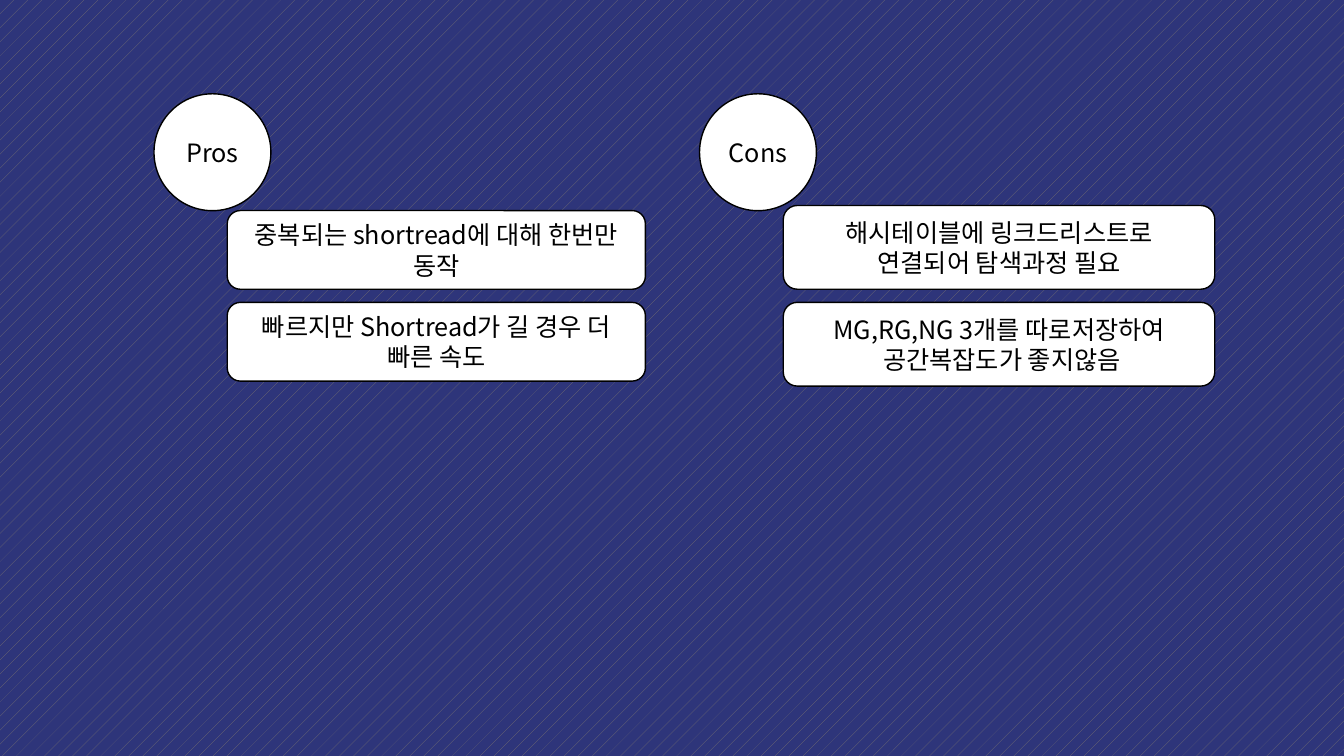
"""Build a slide that sets the pros and cons of a short-read lookup side by side."""
from lxml.etree import SubElement
from pptx import Presentation
from pptx.dml.color import RGBColor
from pptx.enum.dml import MSO_PATTERN
from pptx.enum.shapes import MSO_SHAPE as SHAPE
from pptx.enum.text import MSO_ANCHOR as ANCHOR, PP_ALIGN as ALIGN
from pptx.oxml.ns import qn
from pptx.util import Pt

FONT = "Noto Sans CJK KR"
CIRCLE_TOP, CIRCLE_SIZE = 67, 83.5
LAST_CARD_TOP, CARD_GAP = 216, 9.4


def color(hex_value):
    return RGBColor.from_string(hex_value)


def add_bubble(kind, left, top, width, height, lines):
    bubble = slide.shapes.add_shape(kind, Pt(left), Pt(top), Pt(width), Pt(height))
    bubble.shadow.inherit = False
    bubble.fill.solid()
    bubble.fill.fore_color.rgb = color("FFFFFF")
    bubble.line.color.rgb = color("000000")
    bubble.line.width = Pt(1)
    frame = bubble.text_frame
    frame.word_wrap = True
    frame.vertical_anchor = ANCHOR.MIDDLE
    frame.text = "\n".join(lines)
    for paragraph in frame.paragraphs:
        paragraph.alignment = ALIGN.CENTER
        paragraph.font.name = FONT
        paragraph.font.size = Pt(18)
        paragraph.font.color.rgb = color("000000")
        defaults = paragraph._p.pPr.find(qn("a:defRPr"))
        SubElement(defaults, qn("a:ea"), typeface=FONT)


deck = Presentation()
deck.slide_width, deck.slide_height = Pt(960), Pt(540)
slide = deck.slides.add_slide(deck.slide_layouts[6])

backdrop = slide.background.fill
backdrop.patterned()
backdrop.pattern = MSO_PATTERN.PERCENT_5
backdrop.fore_color.rgb = color("767171")
backdrop.back_color.rgb = color("2E357A")

sides = [
    ("Pros", 110, 162.3, 298.7, 56.2, [
        ["중복되는 shortread에 대해 한번만 동작"],
        ["빠르지만 Shortread가 길 경우 더 빠른 속도"],
    ]),
    ("Cons", 499.7, 559.5, 308.2, 59.8, [
        ["해시테이블에 링크드리스트로 연결되어 탐색과정 필요"],
        ["MG,RG,NG 3개를 따로저장하여", " 공간복잡도가 좋지않음"],
    ]),
]
for heading, circle_left, card_left, card_width, card_height, points in sides:
    add_bubble(SHAPE.OVAL, circle_left, CIRCLE_TOP, CIRCLE_SIZE, CIRCLE_SIZE, [heading])
    first_top = LAST_CARD_TOP - (len(points) - 1) * (card_height + CARD_GAP)
    for row, lines in enumerate(points):
        card_top = first_top + row * (card_height + CARD_GAP)
        add_bubble(SHAPE.ROUNDED_RECTANGLE, card_left, card_top, card_width, card_height, lines)

deck.save("out.pptx")
